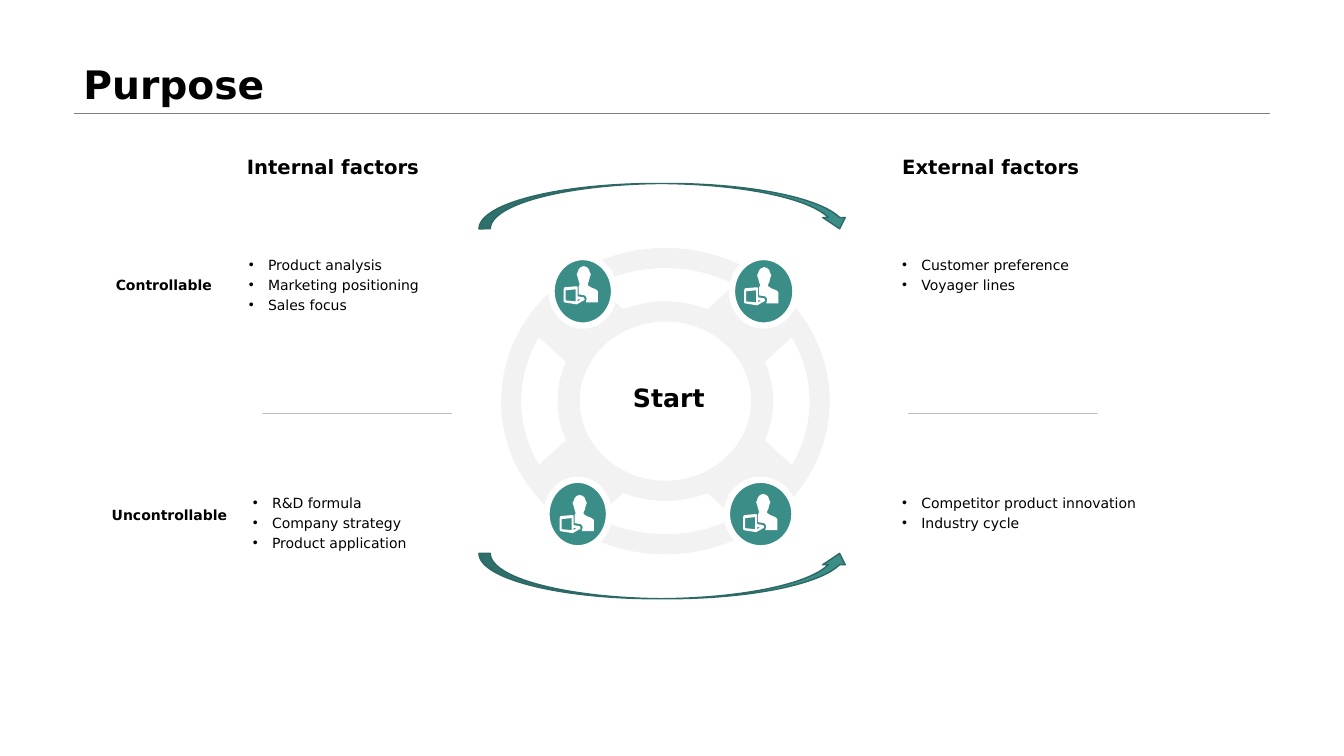
import math

from lxml import etree
from pptx import Presentation
from pptx import util as u
from pptx.dml.color import RGBColor
from pptx.enum import shapes, text
from pptx.oxml import ns

PX = 9144  # EMU in one px, 100 px to the inch
FONT = "DejaVu Sans"
BLACK = RGBColor(0x00, 0x00, 0x00)
WHITE = RGBColor(0xFF, 0xFF, 0xFF)
GREY = RGBColor(0x80, 0x80, 0x80)
SILVER = RGBColor(0xBF, 0xBF, 0xBF)
PALE = RGBColor(0xF2, 0xF2, 0xF2)
TEAL = RGBColor(0x3B, 0x8D, 0x87)
DARK_TEAL = RGBColor(0x2C, 0x68, 0x64)

# Person holding a tablet, in a box of 34 by 38 px
PERSON = [
    [(14, 33), (14, 35), (17, 33)],
    [(12, 23), (2, 24), (2, 34), (12, 35)],
    [(13, 20), (14, 21), (14, 30), (20, 31), (21, 33), (20, 34), (13, 38),
     (1, 36), (0, 35), (0, 23), (1, 21)],
    [(20, 0), (23, 1), (25, 3), (26, 6), (27, 8), (26, 11), (25, 15), (24, 17),
     (24, 19), (27, 21), (32, 23), (34, 25), (34, 36), (22, 36), (23, 32),
     (22, 30), (21, 29), (15, 28), (15, 20), (16, 18), (15, 15), (14, 11),
     (13, 8), (14, 6), (15, 3), (17, 1)],
]


def emu(*lengths):
    return [round(n * PX) for n in lengths]


def style(sp, fill=None, line=None, width=1):
    sp.shadow.inherit = False
    if fill is None:
        sp.fill.background()
    else:
        sp.fill.solid()
        sp.fill.fore_color.rgb = fill
    if line is None:
        sp.line.fill.background()
    else:
        sp.line.color.rgb = line
        sp.line.width = u.Pt(width)


def add_run(p, words, size, bold=False):
    r = p.add_run()
    r.text = words
    r.font.name, r.font.size, r.font.bold = FONT, u.Pt(size), bold
    r.font.color.rgb = BLACK


def add_label(s, box, words, size, anchor=text.MSO_ANCHOR.TOP, spacing=1.0):
    tf = s.shapes.add_textbox(*emu(*box)).text_frame
    tf.word_wrap = True
    tf.vertical_anchor = anchor
    p = tf.paragraphs[0]
    p.line_spacing = spacing
    add_run(p, words, size, bold=True)


def add_rule(s, x, y, w, color):
    c = s.shapes.add_connector(shapes.MSO_CONNECTOR.STRAIGHT, *emu(x, y, x + w, y))
    c.line.color.rgb = color
    c.line.width = u.Pt(0.25)
    etree.SubElement(c._element.spPr, ns.qn("a:effectLst"))


def add_outline(s, x, y, contours, fill):
    """Fill closed contours, drawn in tenths of a px from x, y."""
    points = [[((x + dx) * 10, (y + dy) * 10) for dx, dy in c] for c in contours]
    builder = s.shapes.build_freeform(*points[0][0], scale=PX / 10)
    builder.add_line_segments(points[0][1:])
    for contour in points[1:]:
        builder.move_to(*contour[0])
        builder.add_line_segments(contour[1:])
    style(builder.convert_to_shape(), fill)


def arc(rx, ry, start, end, steps=24):
    angles = [math.radians(start + (end - start) * i / steps) for i in range(steps + 1)]
    return [(rx * math.cos(a), ry * math.sin(a)) for a in angles]


def add_header(s, x, w, bottom):
    add_label(s, (x, 0, w, bottom), "Purpose", 28, text.MSO_ANCHOR.BOTTOM, 0.9)
    add_rule(s, x, bottom, w, GREY)


def add_wheel(s, cx, cy):
    contours = [arc(163, 152, 0, 360, 96), arc(85, 79, 0, 360, 96)]
    for mid in range(0, 360, 90):  # four slots in the ring
        contours.append(arc(143, 132, mid - 28.7, mid + 28.7)
                        + arc(107, 99, mid + 23, mid - 23))
    add_outline(s, cx, cy, contours, PALE)


def add_badge(s, x, y, w, icon_dx, icon_dy):
    style(s.shapes.add_shape(shapes.MSO_SHAPE.OVAL, *emu(x, y, w, 68)),
          TEAL, WHITE, 4.5)
    add_outline(s, x + icon_dx, y + icon_dy, PERSON, WHITE)


def add_bullets(s, x, y, w, items):
    sp = s.shapes.add_shape(shapes.MSO_SHAPE.SNIP_2_SAME_RECTANGLE, *emu(x, y, w, 148))
    sp.adjustments[0] = sp.adjustments[1] = 0
    style(sp)
    tf = sp.text_frame
    tf.word_wrap = True
    tf.vertical_anchor = text.MSO_ANCHOR.TOP
    for i, item in enumerate(items):
        p = tf.add_paragraph() if i else tf.paragraphs[0]
        p.alignment = text.PP_ALIGN.LEFT
        p.line_spacing = 1.2
        pPr = p._p.get_or_add_pPr()
        pPr.set("marL", str(19 * PX))
        pPr.set("indent", str(-19 * PX))
        etree.SubElement(pPr, ns.qn("a:buFont")).set("typeface", "Arial")
        etree.SubElement(pPr, ns.qn("a:buChar")).set("char", "•")
        add_run(p, item, 10)


def add_factors(s, x, heading, rule_x, lists):
    """A column: heading, controllable list, rule, uncontrollable list."""
    add_label(s, (x, 131, 317, 68), heading, 14, text.MSO_ANCHOR.MIDDLE)
    add_rule(s, rule_x, 410, 188, SILVER)
    for list_x, y, items in lists:
        add_bullets(s, list_x, y, 295, items)


def add_arrow(s, x, y, flipped):
    sp = s.shapes.add_shape(shapes.MSO_SHAPE.CURVED_DOWN_ARROW, *emu(x, y, 369, 45))
    style(sp, TEAL, DARK_TEAL)
    if flipped:
        sp._element.spPr.xfrm.set("flipV", "1")


def main():
    prs = Presentation()
    prs.slide_width, prs.slide_height = u.Inches(13.33), u.Inches(7.5)
    s = prs.slides.add_slide(prs.slide_layouts[6])

    add_header(s, 73, 1187, 112)

    # Ring with a person at each corner
    add_wheel(s, 660, 398)
    for badge in [(547, 255, 62, 12, 9), (726, 255, 63, 12, 10),
                  (542, 476, 62, 13, 15), (721, 476, 67, 16, 14)]:
        add_badge(s, *badge)
    add_label(s, (618, 374, 97, 40), "Start", 18)

    # Factor columns
    add_factors(s, 235, "Internal factors", 260, [
        (237, 246, ["Product analysis", "Marketing positioning", "Sales focus"]),
        (241, 482, ["R&D formula", "Company strategy", "Product application"]),
    ])
    add_factors(s, 885, "External factors", 901, [
        (885, 246, ["Customer preference", "Voyager lines"]),
        (885, 482, ["Competitor product innovation", "Industry cycle"]),
    ])

    # Row labels
    add_label(s, (105, 269, 130, 27), "Controllable", 10)
    add_label(s, (101, 498, 138, 27), "Uncontrollable", 10)

    # Arrows from internal to external
    add_arrow(s, 475, 182, flipped=False)
    add_arrow(s, 475, 549, flipped=True)

    prs.save("out.pptx")


if __name__ == "__main__":
    main()
